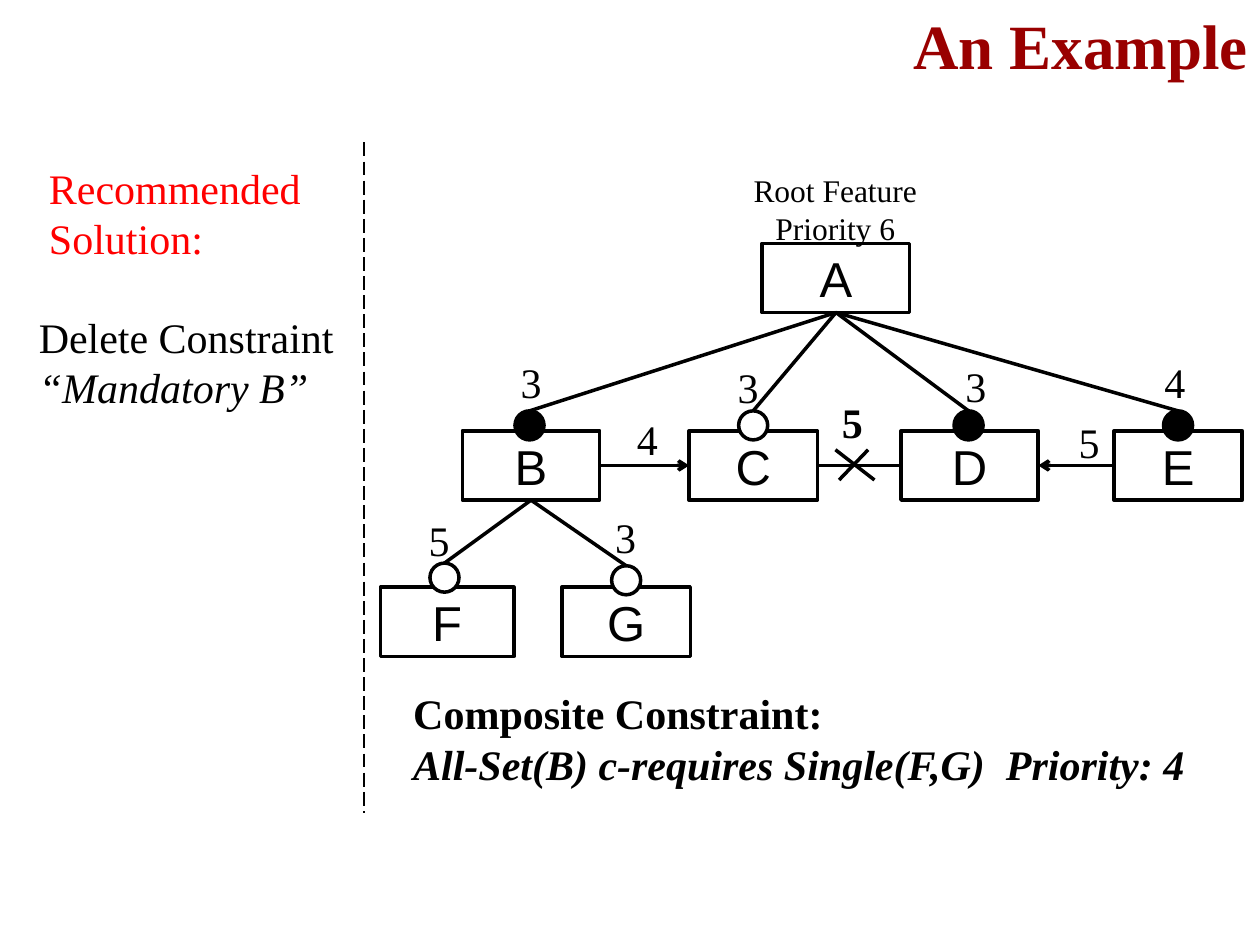
from dataclasses import dataclass
from typing import Optional

from lxml.etree import SubElement
from pptx import Presentation
from pptx.dml.color import RGBColor
from pptx.enum.dml import MSO_LINE
from pptx.enum.shapes import MSO_CONNECTOR, MSO_SHAPE
from pptx.enum.text import MSO_ANCHOR, PP_ALIGN
from pptx.oxml.ns import qn
from pptx.util import Pt


@dataclass(frozen=True)
class Theme:
    ink: RGBColor = RGBColor(0, 0, 0)
    paper: RGBColor = RGBColor(255, 255, 255)
    title: RGBColor = RGBColor(0x99, 0, 0)
    alert: RGBColor = RGBColor(255, 0, 0)
    serif: str = "Times New Roman"
    sans: str = "Arial"
    head: float = 36
    node: float = 28
    body: float = 24
    note: float = 18
    line: float = 2
    thin: float = 1


@dataclass(frozen=True)
class Dot:
    mid: float
    top: float
    full: bool


@dataclass(frozen=True)
class Node:
    name: str
    left: float
    top: float
    width: float
    dot: Optional[Dot] = None
    root: str = ""

    @property
    def right(self) -> float:
        return self.left + self.width

    @property
    def mid(self) -> float:
        return self.left + self.width / 2


@dataclass(frozen=True)
class Label:
    text: str
    left: float
    top: float
    bold: bool = False


@dataclass(frozen=True)
class Note:
    lines: tuple
    left: float
    top: float
    width: float
    height: float
    size: float
    color: RGBColor = Theme.ink
    bold: bool = False
    slant: bool = False  # last line in italics
    align: PP_ALIGN = PP_ALIGN.LEFT
    anchor: MSO_ANCHOR = MSO_ANCHOR.TOP


LOOK = Theme()
TALL, SIZE = 39.6, 16.6  # node height, dot diameter
ROW1, ROW2, ROW3 = 139, 246.2, 335.5
AXIS = ROW2 + TALL / 2

NODES = [
    Node("A", 435.6, ROW1, 84.2),
    Node("B", 264.2, ROW2, 78.5, Dot(302.6, 234.8, True), "A"),
    Node("C", 393.8, ROW2, 73.4, Dot(430.4, 234.8, False), "A"),
    Node("D", 514.8, ROW2, 78.5, Dot(553.5, 234.8, True), "A"),
    Node("E", 636.5, ROW2, 73.4, Dot(673.2, 234.8, True), "A"),
    Node("F", 217.4, ROW3, 76.3, Dot(254, 321.8, False), "B"),
    Node("G", 321.1, ROW3, 73.4, Dot(357.8, 323.3, False), "B"),
]
LABELS = [
    Label("3", 286.6, 200.2),
    Label("4", 353, 232.6),
    Label("3", 410.6, 203),
    Label("5", 470.2, 223.2, True),
    Label("3", 340.6, 288.7),
    Label("5", 234, 290.2),
    Label("5", 605.5, 234.7),
    Label("4", 654.5, 200.2),
    Label("3", 540.7, 202.3),
]
NOTES = [
    Note(("An Example",), 243.4, 0, 476.6, 50.4, LOOK.head, LOOK.title,
         bold=True, align=PP_ALIGN.RIGHT, anchor=MSO_ANCHOR.BOTTOM),
    Note(("Composite Constraint:",
          "All-Set(B) c-requires Single(F,G)  Priority: 4"),
         229, 389.5, 486, 65.5, LOOK.body, bold=True, slant=True),
    Note(("Root Feature", "Priority 6"), 418.3, 94.3, 118, 51, LOOK.note,
         align=PP_ALIGN.CENTER),
    Note(("Recommended Solution:",), 20.9, 89.3, 165, 65.5, LOOK.body,
         LOOK.alert),
    Note(("Delete Constraint", "“Mandatory B”"), 15.1, 174.2, 184.3, 65.5,
         LOOK.body, slant=True),
]


def draw_line(slide, x1: float, y1: float, x2: float, y2: float,
              width: float = LOOK.line, arrow: bool = False):
    line = slide.shapes.add_connector(
        MSO_CONNECTOR.STRAIGHT, Pt(x1), Pt(y1), Pt(x2), Pt(y2))
    line.line.color.rgb = LOOK.ink
    line.line.width = Pt(width)
    if arrow:
        SubElement(line.line._get_or_add_ln(), qn("a:tailEnd"), type="arrow")
    SubElement(line._element.spPr, qn("a:effectLst"))
    return line


def draw_shape(slide, kind: MSO_SHAPE, left: float, top: float,
               width: float, height: float, fill: Optional[RGBColor] = None):
    shape = slide.shapes.add_shape(
        kind, Pt(left), Pt(top), Pt(width), Pt(height))
    shape.shadow.inherit = False
    if fill is None:
        shape.fill.background()
    else:
        shape.fill.solid()
        shape.fill.fore_color.rgb = fill
    shape.line.color.rgb = LOOK.ink
    shape.line.width = Pt(LOOK.line)
    return shape


def draw_node(slide, node: Node) -> None:
    box = draw_shape(slide, MSO_SHAPE.RECTANGLE, node.left, node.top,
                     node.width, TALL)
    box.text_frame.vertical_anchor = MSO_ANCHOR.MIDDLE
    para = box.text_frame.paragraphs[0]
    para.text = node.name
    para.alignment = PP_ALIGN.CENTER
    para.font.name = LOOK.sans
    para.font.size = Pt(LOOK.node)
    para.font.color.rgb = LOOK.ink


def draw_dot(slide, dot: Dot) -> None:
    draw_shape(slide, MSO_SHAPE.OVAL, dot.mid - SIZE / 2, dot.top, SIZE, SIZE,
               LOOK.ink if dot.full else LOOK.paper)


def draw_note(slide, note: Note) -> None:
    box = slide.shapes.add_textbox(
        Pt(note.left), Pt(note.top), Pt(note.width), Pt(note.height))
    frame = box.text_frame
    frame.word_wrap = True
    frame.vertical_anchor = note.anchor
    for i, text in enumerate(note.lines):
        para = frame.add_paragraph() if i else frame.paragraphs[0]
        para.text = text
        para.alignment = note.align
        para.font.name = LOOK.serif
        para.font.size = Pt(note.size)
        para.font.color.rgb = note.color
        para.font.bold = note.bold
        para.font.italic = note.slant and i == len(note.lines) - 1


def main() -> None:
    deck = Presentation()
    deck.slide_width, deck.slide_height = Pt(720), Pt(540)
    slide = deck.slides.add_slide(deck.slide_layouts[6])

    # Feature tree
    tree = {node.name: node for node in NODES}
    for node in NODES:
        draw_node(slide, node)
    for node in NODES:
        if node.dot:
            root = tree[node.root]
            draw_dot(slide, node.dot)
            draw_line(slide, root.mid, root.top + TALL,
                      node.dot.mid, node.dot.top)

    # Constraints between siblings
    b, c, d, e = (tree[name] for name in "BCDE")
    draw_line(slide, b.right, AXIS, c.left, AXIS, arrow=True)
    draw_line(slide, e.left, AXIS, d.right, AXIS, arrow=True)
    draw_line(slide, c.right, AXIS, d.left, AXIS)
    draw_line(slide, 477.4, 257, 499.7, 274.3)
    draw_line(slide, 479.5, 274.3, 496.1, 257)

    # Priorities
    for tag in LABELS:
        draw_note(slide, Note((tag.text,), tag.left, tag.top, 33.8, 36,
                              LOOK.body, bold=tag.bold,
                              align=PP_ALIGN.CENTER))

    # Divider and texts
    rule = draw_line(slide, 208, 81.4, 208, 464.4, LOOK.thin)
    rule.line.dash_style = MSO_LINE.LONG_DASH
    for note in NOTES:
        draw_note(slide, note)

    deck.save("out.pptx")


if __name__ == "__main__":
    main()
